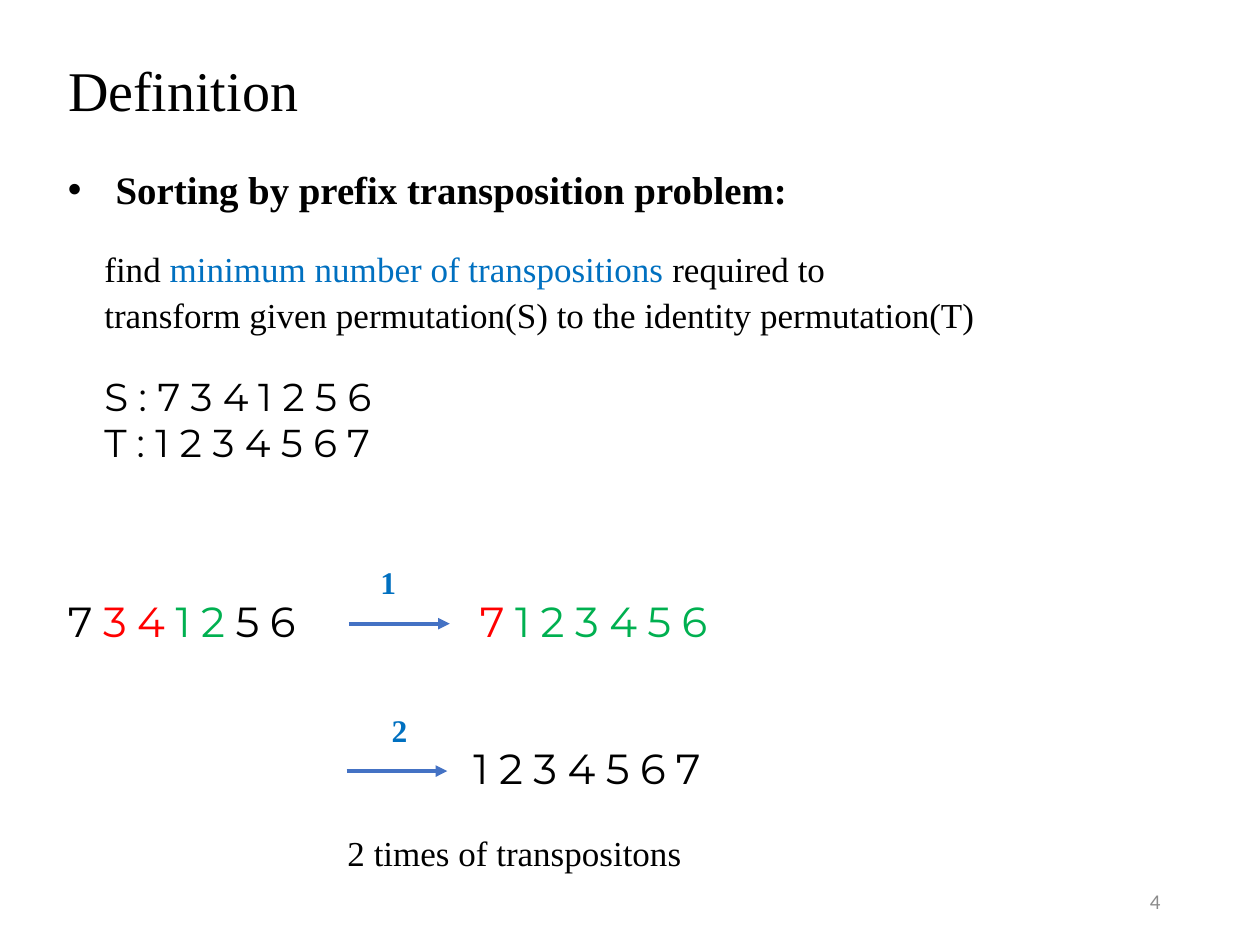
from dataclasses import dataclass

from lxml import etree
from pptx import Presentation
from pptx.dml.color import RGBColor
from pptx.enum.shapes import MSO_CONNECTOR
from pptx.enum.text import MSO_ANCHOR, MSO_AUTO_SIZE, PP_ALIGN
from pptx.oxml.ns import qn
from pptx.util import Inches, Pt

STRAIGHT = MSO_CONNECTOR.STRAIGHT
TOP, MIDDLE = MSO_ANCHOR.TOP, MSO_ANCHOR.MIDDLE
LEFT, RIGHT = PP_ALIGN.LEFT, PP_ALIGN.RIGHT
FIT_SHAPE, NO_FIT = MSO_AUTO_SIZE.SHAPE_TO_FIT_TEXT, MSO_AUTO_SIZE.NONE

COLUMNS, ROWS = 100, 75
SLIDE_WIDTH, SLIDE_HEIGHT = Inches(10), Inches(7.5)


@dataclass(frozen=True)
class Theme:
    serif: str = "Times New Roman"
    digits: str = "Montserrat"
    plain: str = "Calibri"
    ink: str = "000000"
    accent: str = "0070C0"
    moved: str = "FF0000"
    ordered: str = "00B050"
    arrow: str = "4472C4"
    muted: str = "8C8C8C"
    title: float = 32
    sequence: float = 24
    heading: float = 22.2
    body: float = 20
    label: float = 18
    page: float = 12
    tracking: int = 6


THEME = Theme()


@dataclass(frozen=True)
class Box:
    column: float
    row: float
    columns: float
    rows: float

    def inner(self, column, row, columns, rows):
        return Box(self.column + column, self.row + row, columns, rows)

    def place(self):
        return (across(self.column), down(self.row),
                across(self.columns), down(self.rows))


def across(columns):
    return round(SLIDE_WIDTH * columns / COLUMNS)


def down(rows):
    return round(SLIDE_HEIGHT * rows / ROWS)


def write_line(paragraph, parts, size, font, bold=False, tracking=0, spacing=1.0):
    paragraph.line_spacing = spacing
    for words, color in parts:
        run = paragraph.add_run()
        run.text = words
        run.font.size = Pt(size)
        run.font.name = font
        run.font.bold = bold
        run.font.color.rgb = RGBColor.from_string(color)
        if tracking:
            run.font._element.set("spc", str(tracking * 100))


def add_text(slide, box, lines, size, font, spacings=(1.0,), anchor=MIDDLE,
             align=LEFT, fit=NO_FIT, **style):
    frame = slide.shapes.add_textbox(*box.place()).text_frame
    frame.word_wrap = True
    frame.auto_size = fit
    frame.vertical_anchor = anchor
    for index, parts in enumerate(lines):
        paragraph = frame.add_paragraph() if index else frame.paragraphs[0]
        paragraph.alignment = align
        spacing = spacings[min(index, len(spacings) - 1)]
        write_line(paragraph, parts, size, font, spacing=spacing, **style)
    return frame


def add_arrow(slide, box):
    left, top, width, _ = box.place()
    arrow = slide.shapes.add_connector(STRAIGHT, left, top, left + width, top)
    arrow.line.color.rgb = RGBColor.from_string(THEME.arrow)
    arrow.line.width = Pt(2.25)
    etree.SubElement(arrow.line._get_or_add_ln(), qn("a:tailEnd"), type="triangle")
    etree.SubElement(arrow._element.spPr, qn("a:effectLst"))


def add_title(slide, box):
    title = slide.shapes.title
    title.left, title.top, title.width, title.height = box.place()
    frame = title.text_frame
    frame.word_wrap = True
    frame.auto_size = NO_FIT
    frame.vertical_anchor = MIDDLE
    heading = frame.paragraphs[0]
    heading.alignment = LEFT
    write_line(heading, [("Definition", THEME.ink)], THEME.title, THEME.serif, spacing=0.9)


def add_definition(slide, box):
    problem = add_text(slide, box.inner(0, 0, 81.3, 6.4),
                       [[("Sorting by prefix transposition problem:", THEME.ink)]],
                       THEME.heading, THEME.serif, (1.4,), bold=True)
    properties = problem.paragraphs[0]._p.get_or_add_pPr()
    indent = across(3.8)
    properties.set("marL", str(indent))
    properties.set("indent", str(-indent))
    etree.SubElement(properties, qn("a:buFont"), typeface="Arial")
    etree.SubElement(properties, qn("a:buChar"), char="•")

    goal = [
        [("find ", THEME.ink),
         ("minimum number of transpositions ", THEME.accent),
         ("required to", THEME.ink)],
        [("transform given permutation(S) to the identity permutation(T)", THEME.ink)],
    ]
    add_text(slide, box.inner(2.9, 6.4, 75.5, 9.8), goal, THEME.body, THEME.serif,
             (1.5, 1.1), anchor=TOP, fit=FIT_SHAPE)
    permutations = [[("S:7341256", THEME.ink)], [("T:1234567", THEME.ink)]]
    add_text(slide, box.inner(2.9, 16.7, 28.2, 10.9), permutations, THEME.heading,
             THEME.digits, tracking=THEME.tracking)


def add_sequence(slide, box, parts):
    add_text(slide, box, [parts], THEME.sequence, THEME.digits, (0.9,),
             tracking=THEME.tracking)


def add_step(slide, box, number, label_column, result_column, result):
    add_text(slide, box.inner(label_column, 0, 2.8, 4.8), [[(number, THEME.accent)]],
             THEME.label, THEME.serif, (0.9,), bold=True, tracking=THEME.tracking)
    add_arrow(slide, box.inner(0, 5.5, 8, 0))
    add_sequence(slide, box.inner(result_column, 2.3, 23.4, 6.4), result)


def add_example(slide, box):
    start = [("7", THEME.ink), ("34", THEME.moved),
             ("12", THEME.ordered), ("56", THEME.ink)]
    add_sequence(slide, box.inner(0, 2.3, 23.4, 6.4), start)
    add_step(slide, box.inner(23.3, 0, 32.8, 8.7), "1", 1.5, 9.4,
             [("7", THEME.moved), ("123456", THEME.ordered)])
    add_step(slide, box.inner(23.1, 11.7, 32.5, 8.7), "2", 2.6, 9.1,
             [("1234567", THEME.ink)])
    add_text(slide, box.inner(22.2, 21.5, 32.6, 4.4),
             [[("2 times of transpositons", THEME.ink)]],
             THEME.body, THEME.serif, anchor=TOP, fit=FIT_SHAPE)


def add_page_number(slide, box):
    add_text(slide, box, [[("4", THEME.muted)]], THEME.page, THEME.plain, align=RIGHT)


def main():
    presentation = Presentation()
    presentation.slide_width, presentation.slide_height = SLIDE_WIDTH, SLIDE_HEIGHT
    slide = presentation.slides.add_slide(presentation.slide_layouts[5])
    add_title(slide, Box(4.4, 4.2, 86.2, 6.4))
    add_definition(slide, Box(4.4, 11.1, 81.3, 27.6))
    add_example(slide, Box(4.4, 44, 56.1, 25.9))
    add_page_number(slide, Box(70.6, 69.5, 22.5, 4))
    presentation.save("out.pptx")


if __name__ == "__main__":
    main()
